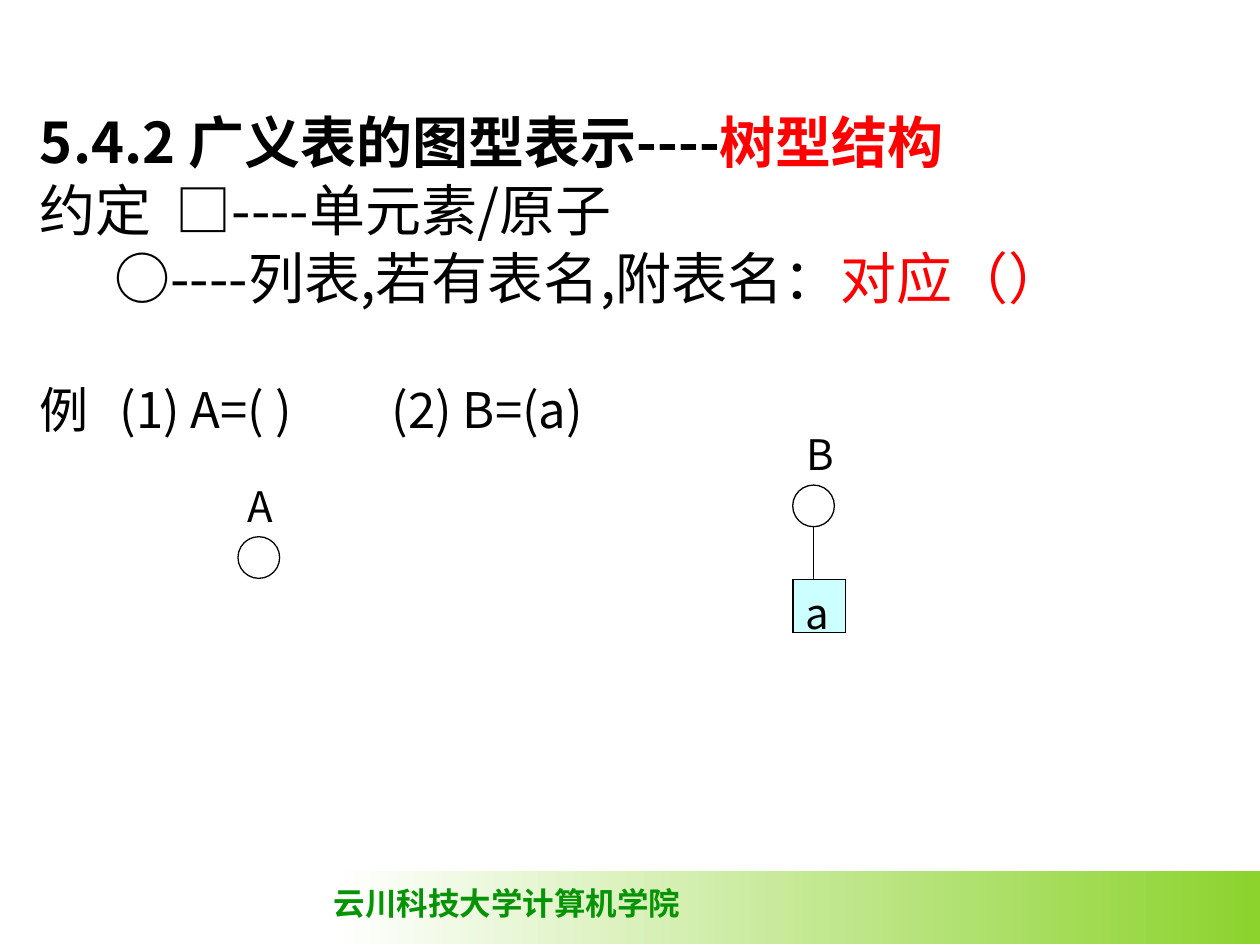
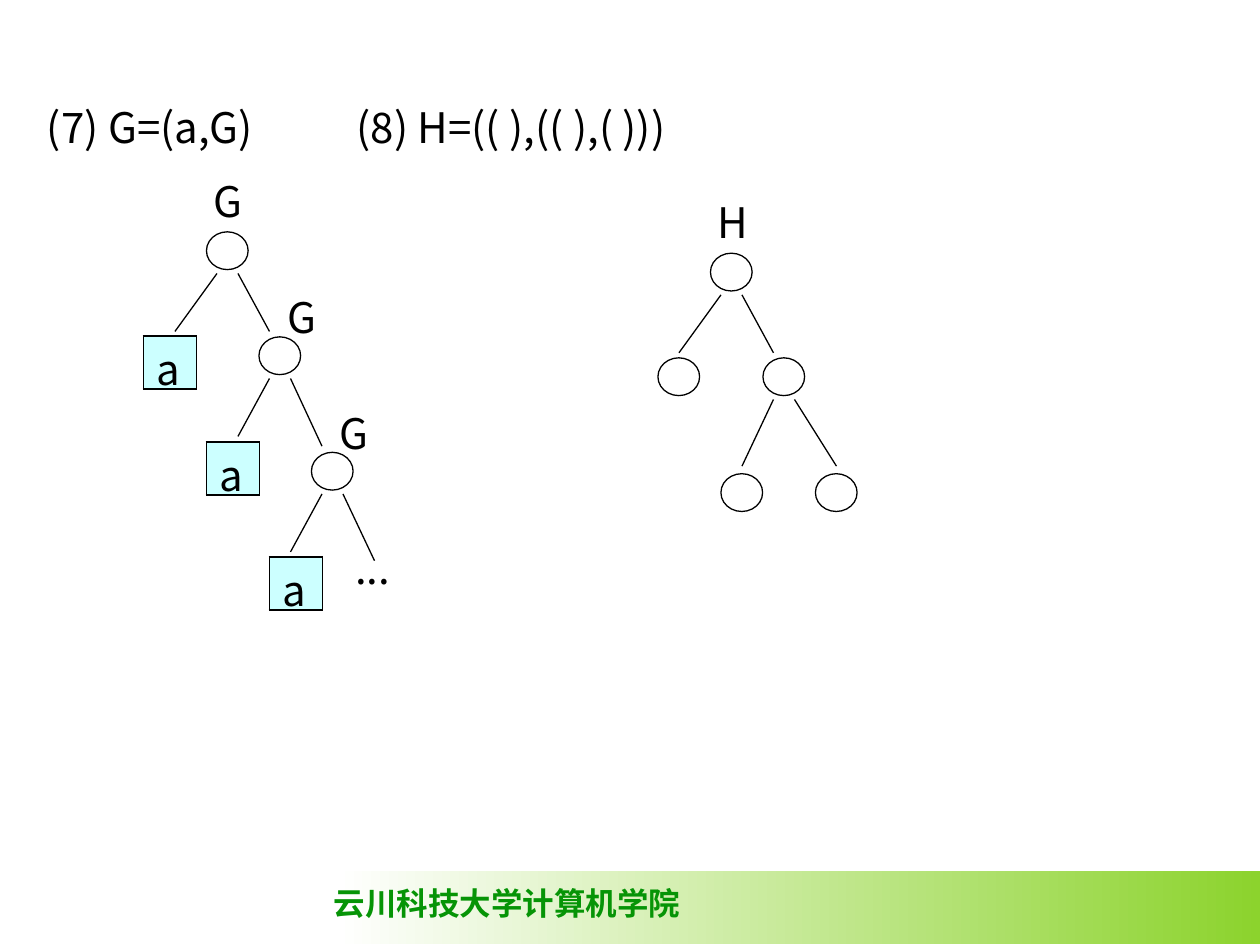
import pptx
import pptx.util
import pptx.dml.color
import pptx.enum.shapes
import pptx.oxml
import pptx.oxml.ns

Pt = pptx.util.Pt

FONT = "Noto Sans CJK SC"
FOOTER_FONT = "Times New Roman"
BLACK, WHITE, RED = "000000", "FFFFFF", "FF0000"
GREEN, FOOTER_GREEN, ATOM_FILL = "8CD32D", "069406", "CCFFFF"
THIN = 0.75
NODE_W = 23.8
ATOM = 30.24


def rgb(color):
    return pptx.dml.color.RGBColor.from_string(color)


def sub(parent, tag, **attrs):
    el = parent.makeelement(pptx.oxml.ns.qn(tag), attrs)
    parent.append(el)
    return el


class Deck:
    """Shared style and the slide being drawn."""

    def __init__(self):
        self.prs = pptx.Presentation()
        self.prs.slide_width, self.prs.slide_height = Pt(720), Pt(540)

    def new_slide(self):
        self.s = self.prs.slides.add_slide(self.prs.slide_layouts[6])
        # Footer band
        sp = self.s.shapes.add_shape(
            pptx.enum.shapes.MSO_SHAPE.RECTANGLE, Pt(192), Pt(497.5), Pt(528), Pt(42))
        sp.shadow.inherit = False
        sp.fill.gradient()
        sp.fill.gradient_angle = 0
        for stop, color in zip(sp.fill.gradient_stops, (WHITE, GREEN)):
            stop.color.rgb = rgb(color)
        sp.line.fill.background()
        # Footer text
        tf = self.box(183.6, 501.8, 212.4, 28.8, wrap=False)
        self.add_text(tf.paragraphs[0], [("云川科技大学计算机学院", FOOTER_GREEN)],
                      18, bold=True, font=FOOTER_FONT)

    def box(self, x, y, w, h, wrap=True):
        tf = self.s.shapes.add_textbox(Pt(x), Pt(y), Pt(w), Pt(h)).text_frame
        tf.word_wrap = wrap
        return tf

    def add_text(self, p, runs, size, bold=False, font=FONT, spacing=None, before=0, tabs=()):
        p.line_spacing = spacing
        p.space_before = Pt(before)
        if tabs:
            tab_list = sub(p._p.get_or_add_pPr(), "a:tabLst")
            for tab in tabs:
                sub(tab_list, "a:tab", pos=str(Pt(tab)), algn="l")
        for text, color in runs:
            r = p.add_run()
            r.text = text
            r.font.name, r.font.size, r.font.bold = font, Pt(size), bold
            r.font.color.rgb = rgb(color)

    def label(self, text, x, y):
        tf = self.box(x, y, 31, 30.2, wrap=False)
        self.add_text(tf.paragraphs[0], [(text, BLACK)], 24, spacing=0.8)

    def node(self, x, y, h=21.6):
        """Circle standing for a list."""
        sp = self.s.shapes.add_shape(
            pptx.enum.shapes.MSO_SHAPE.OVAL, Pt(x), Pt(y), Pt(NODE_W), Pt(h))
        sp.shadow.inherit = False
        sp.fill.background()
        sp.line.color.rgb = rgb(BLACK)
        sp.line.width = Pt(THIN)

    def line(self, x1, y1, x2, y2):
        c = self.s.shapes.add_connector(
            pptx.enum.shapes.MSO_CONNECTOR.STRAIGHT, Pt(x1), Pt(y1), Pt(x2), Pt(y2))
        c.line.color.rgb = rgb(BLACK)
        c.line.width = Pt(THIN)
        sub(c._element.spPr, "a:effectLst")

    def fork(self, x, y, left_end, right_end):
        """Circle with a branch to each side."""
        self.node(x, y)
        self.line(x + 6, y + 23.8, *left_end)
        self.line(x + 18, y + 23.8, *right_end)

    def atom(self, text, x, y):
        """One-cell table standing for a single element."""
        table = self.s.shapes.add_table(1, 1, Pt(x), Pt(y), Pt(ATOM), Pt(ATOM)).table
        table.first_row = table.horz_banding = False
        cell = table.cell(0, 0)
        cell.margin_left = cell.margin_right = Pt(7.2)
        cell.margin_top, cell.margin_bottom = Pt(6), Pt(0)
        tcPr = cell._tc.get_or_add_tcPr()
        for side in ("a:lnL", "a:lnR", "a:lnT", "a:lnB"):
            ln = sub(tcPr, side, w=str(Pt(1.08)))
            sub(sub(ln, "a:solidFill"), "a:srgbClr", val=BLACK)
        cell.fill.solid()
        cell.fill.fore_color.rgb = rgb(ATOM_FILL)
        self.add_text(cell.text_frame.paragraphs[0], [(text, BLACK)], 24, spacing=0.8)


def tree_notation(d):
    d.new_slide()
    # Heading, conventions and examples
    tf = d.box(15.8, 65.5, 690, 203.8)
    lines = [
        ([("5.4.2 广义表的图型表示----", BLACK), ("树型结构", RED)], 32, True, 0, ()),
        ([("约定\t□----单元素/原子", BLACK)], 32, False, 8, (77.5,)),
        ([("\t○----列表,若有表名,附表名：", BLACK), ("对应（）", RED)], 32, False, 8, (42.5,)),
        ([("例\t(1) A=( )\t(2) B=(a)", BLACK)], 28, False, 46, (45.5, 201)),
    ]
    for i, (runs, size, bold, before, tabs) in enumerate(lines):
        p = tf.add_paragraph() if i else tf.paragraphs[0]
        d.add_text(p, runs, size, bold, spacing=0.8, before=before, tabs=tabs)

    # Empty list A
    d.label("A", 134.6, 276.5)
    d.node(136, 306.7, NODE_W)

    # List B with one atom
    d.label("B", 453.6, 247)
    d.node(453, 277.2, NODE_W)
    d.line(465, 301, 465, 331.2)
    d.atom("a", 453, 331.2)


def nested_lists(d):
    d.new_slide()
    tf = d.box(15.8, 54.7, 690, 465)
    d.add_text(tf.paragraphs[0], [("\t(7) G=(a,G)\t(8) H=(( ),(( ),( )))", BLACK)],
               24, tabs=(4, 181))

    # Recursive list G: label, circle, branch ends, atom
    levels = [
        ((115.2, 102.2), (118, 132.5), (100, 189.4), (154, 189.4), (82, 192.2)),
        ((157, 168.5), (148, 192.5), (136, 249.4), (184, 255), (118, 252.5)),
        ((187.2, 234.7), (178, 258.5), (166, 315.4), (214, 320.4), (154, 318.2)),
    ]
    for name_at, node_at, left_end, right_end, atom_at in levels:
        d.label("G", *name_at)
        d.fork(*node_at, left_end, right_end)
        d.atom("a", *atom_at)
    dots = d.box(195.8, 306.7, 44.6, 36)
    d.add_text(dots.paragraphs[0], [("...", BLACK)], 24)

    # List H of empty lists
    d.label("H", 403.2, 114.5)
    d.fork(406, 144.7, (388, 201.6), (442, 201.6))
    d.fork(436, 204.5, (424, 266.4), (478, 266.4))
    for x, y in ((376, 204.5), (412, 270.7), (466, 270.7)):
        d.node(x, y)


def main():
    d = Deck()
    tree_notation(d)
    nested_lists(d)
    d.prs.save("out.pptx")


if __name__ == "__main__":
    main()
